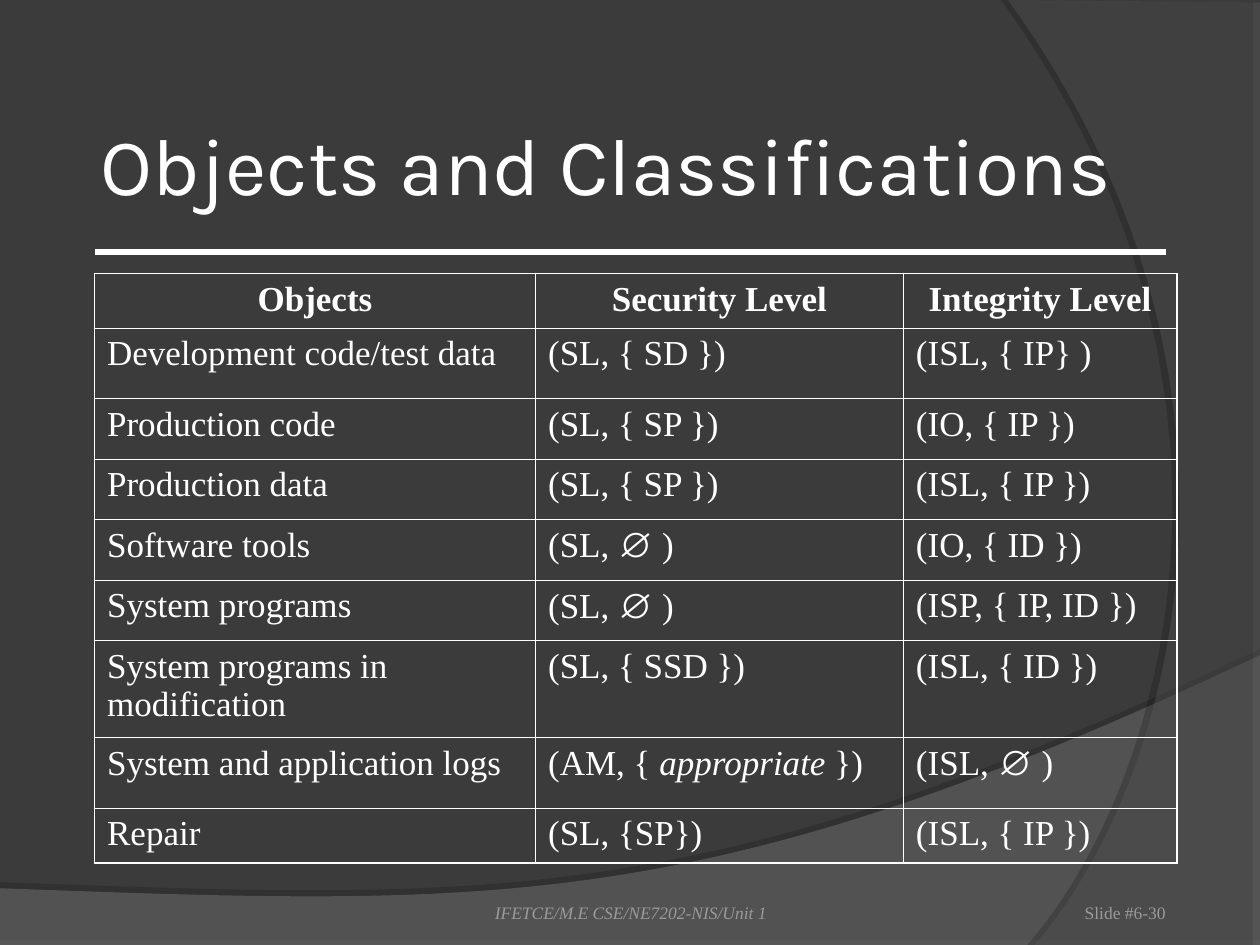
import pptx
import pptx.dml.color
import pptx.enum.shapes
import pptx.enum.text
import pptx.oxml
import pptx.oxml.ns
import pptx.util
import lxml.etree

Inches = pptx.util.Inches
Pt = pptx.util.Pt
RGBColor = pptx.dml.color.RGBColor
ALIGN = pptx.enum.text.PP_ALIGN
ANCHOR = pptx.enum.text.MSO_ANCHOR
qn = pptx.oxml.ns.qn

BACKGROUND = RGBColor(0x3B, 0x3B, 0x3B)
WAVE = RGBColor(0x7C, 0x7C, 0x7C)
ARC = RGBColor(0x59, 0x59, 0x59)
WHITE = RGBColor(0xFF, 0xFF, 0xFF)
BLACK = RGBColor(0x00, 0x00, 0x00)
FOOTER_GREY = RGBColor(0x9B, 0x9A, 0x98)

TITLE_FONT = "Karla"
BODY_FONT = "Times New Roman"
SYMBOL_FONT = "Arial"
EMPTY_SET = "∅"
ITALIC_WORD = "appropriate"

COLUMN_WIDTHS = [3.5, 2.92, 2.17]
ROW_HEIGHTS = [0.43, 0.56, 0.48, 0.48, 0.48, 0.48, 0.77, 0.56, 0.43]
CLASSIFICATIONS = [
    ("Objects", "Security Level", "Integrity Level"),
    ("Development code/test data", "(SL, { SD })", "(ISL, { IP} )"),
    ("Production code", "(SL, { SP })", "(IO, { IP })"),
    ("Production data", "(SL, { SP })", "(ISL, { IP })"),
    ("Software tools", "(SL, ∅ )", "(IO, { ID })"),
    ("System programs", "(SL, ∅ )", "(ISP, { IP, ID })"),
    ("System programs in modification", "(SL, { SSD })", "(ISL, { ID })"),
    ("System and application logs", "(AM, { appropriate })", "(ISL, ∅ )"),
    ("Repair", "(SL, {SP})", "(ISL, { IP })"),
]


def bezier(start, control1, control2, end, steps=60):
    points = []
    for step in range(1, steps + 1):
        t = step / steps
        weights = ((1 - t) ** 3, 3 * t * (1 - t) ** 2, 3 * t * t * (1 - t), t ** 3)
        anchors = (start, control1, control2, end)
        points.append(tuple(sum(w * p[axis] for w, p in zip(weights, anchors)) for axis in (0, 1)))
    return points


def split_special(text):
    for special in (EMPTY_SET, ITALIC_WORD):
        if special in text:
            before, found, after = text.partition(special)
            return [before, found, after]
    return [text]


class SlideBuilder:
    outer_border = 1.08
    inner_border = 0.45

    def __init__(self, slide):
        self.slide = slide
        fill = slide.background.fill
        fill.solid()
        fill.fore_color.rgb = BACKGROUND

    def style(self, font, size, color, name=BODY_FONT, bold=False, italic=False):
        font.size = Pt(size)
        font.name = name
        font.color.rgb = color
        font.bold = bold
        font.italic = italic

    def add_swoosh(self, points, color, opacity, shadow_opacity, distance, direction):
        scaled = [(Inches(x), Inches(y)) for x, y in points]
        builder = self.slide.shapes.build_freeform(*scaled[0])
        builder.add_line_segments(scaled[1:], close=True)
        shape = builder.convert_to_shape()
        shape.fill.solid()
        shape.fill.fore_color.rgb = color
        shape.line.fill.background()
        shape.shadow.inherit = False
        properties = shape._element.spPr
        fill_color = properties.find(qn("a:solidFill")).find(qn("a:srgbClr"))
        self.add_alpha(fill_color, opacity)
        shadow = lxml.etree.SubElement(
            properties.find(qn("a:effectLst")), qn("a:outerShdw"),
            blurRad="0", dist=str(int(Pt(distance))), dir=str(direction * 60000),
            algn="ctr", rotWithShape="0")
        shadow_color = lxml.etree.SubElement(shadow, qn("a:srgbClr"), val=str(BLACK))
        self.add_alpha(shadow_color, shadow_opacity)

    def add_alpha(self, color_element, opacity):
        lxml.etree.SubElement(color_element, qn("a:alpha"), val=str(opacity * 1000))

    def add_rule(self, left, right, top, width):
        connector = self.slide.shapes.add_connector(
            pptx.enum.shapes.MSO_CONNECTOR.STRAIGHT,
            Inches(left), Inches(top), Inches(right), Inches(top))
        connector.line.color.rgb = WHITE
        connector.line.width = Pt(width)
        lxml.etree.SubElement(connector._element.spPr, qn("a:effectLst"))

    def add_text(self, text, box, margins, anchor, alignment, size, color, **font_style):
        shape = self.slide.shapes.add_textbox(*map(Inches, box))
        frame = shape.text_frame
        frame.word_wrap = True
        frame.vertical_anchor = anchor
        (frame.margin_left, frame.margin_top,
         frame.margin_right, frame.margin_bottom) = map(Inches, margins)
        frame.text = text
        paragraph = frame.paragraphs[0]
        paragraph.alignment = alignment
        self.style(paragraph.runs[0].font, size, color, **font_style)

    def add_table(self, rows, left, top):
        graphic = self.slide.shapes.add_table(
            len(rows), len(COLUMN_WIDTHS), Inches(left), Inches(top),
            Inches(sum(COLUMN_WIDTHS)), Inches(sum(ROW_HEIGHTS)))
        table = graphic.table
        table.horz_banding = False
        for column, width in zip(table.columns, COLUMN_WIDTHS):
            column.width = Inches(width)
        for row, height in zip(table.rows, ROW_HEIGHTS):
            row.height = Inches(height)
        last_row, last_column = len(rows) - 1, len(COLUMN_WIDTHS) - 1
        for i, texts in enumerate(rows):
            for j, text in enumerate(texts):
                cell = table.cell(i, j)
                self.fill_cell(cell, text, header=i == 0)
                self.add_borders(cell, {"L": j == 0, "R": j == last_column,
                                        "T": i == 0, "B": i == last_row})

    def fill_cell(self, cell, text, header):
        cell.fill.background()
        paragraph = cell.text_frame.paragraphs[0]
        paragraph.alignment = ALIGN.CENTER if header else ALIGN.LEFT
        for part in split_special(text):
            run = paragraph.add_run()
            run.text = part
            name = SYMBOL_FONT if part == EMPTY_SET else BODY_FONT
            self.style(run.font, 20, WHITE, name, bold=header, italic=part == ITALIC_WORD)

    def add_borders(self, cell, outer_sides):
        properties = cell._tc.get_or_add_tcPr()
        for position, (side, is_outer) in enumerate(outer_sides.items()):
            width = Pt(self.outer_border if is_outer else self.inner_border)
            border = pptx.oxml.parse_xml(
                f'<a:ln{side} {pptx.oxml.ns.nsdecls("a")} w="{int(width)}">'
                f'<a:solidFill><a:srgbClr val="{WHITE}"/></a:solidFill></a:ln{side}>')
            properties.insert(position, border)


def main():
    presentation = pptx.Presentation()
    presentation.slide_width = Inches(10)
    presentation.slide_height = Inches(7.5)
    builder = SlideBuilder(presentation.slides.add_slide(presentation.slide_layouts[6]))

    wave = [(0, 7.05), (0, 7.51), (10, 7.51), (10, 5.2)]
    wave += bezier((10, 5.2), (5.59, 7.29), (3.91, 7.19), (0, 7.05))[:-1]
    builder.add_swoosh(wave, WAVE, 45, 35, 3.5, 270)
    arc = [(10, 0.02), (10, 7.5), (8.21, 7.5)]
    arc += bezier((8.21, 7.5), (9.35, 6.19), (10.18, 3), (8, 0))
    builder.add_swoosh(arc, ARC, 40, 45, 4, 180)

    builder.add_rule(0.75, 9.25, 2, 3)
    builder.add_text("Objects and Classifications", (0.75, 0.67, 8.5, 1.25), (0.05,) * 4,
                     ANCHOR.MIDDLE, ALIGN.LEFT, 46, WHITE, name=TITLE_FONT)
    builder.add_table(CLASSIFICATIONS, 0.75, 2.17)
    builder.add_text("IFETCE/M.E CSE/NE7202-NIS/Unit 1", (3.42, 6.83, 3.17, 0.5),
                     (0, 0.05, 0, 0), ANCHOR.BOTTOM, ALIGN.CENTER, 10, FOOTER_GREY, italic=True)
    builder.add_text("Slide #6-30", (7.17, 6.83, 2.08, 0.5), (0,) * 4,
                     ANCHOR.BOTTOM, ALIGN.RIGHT, 10, FOOTER_GREY)
    presentation.save("out.pptx")


if __name__ == "__main__":
    main()
